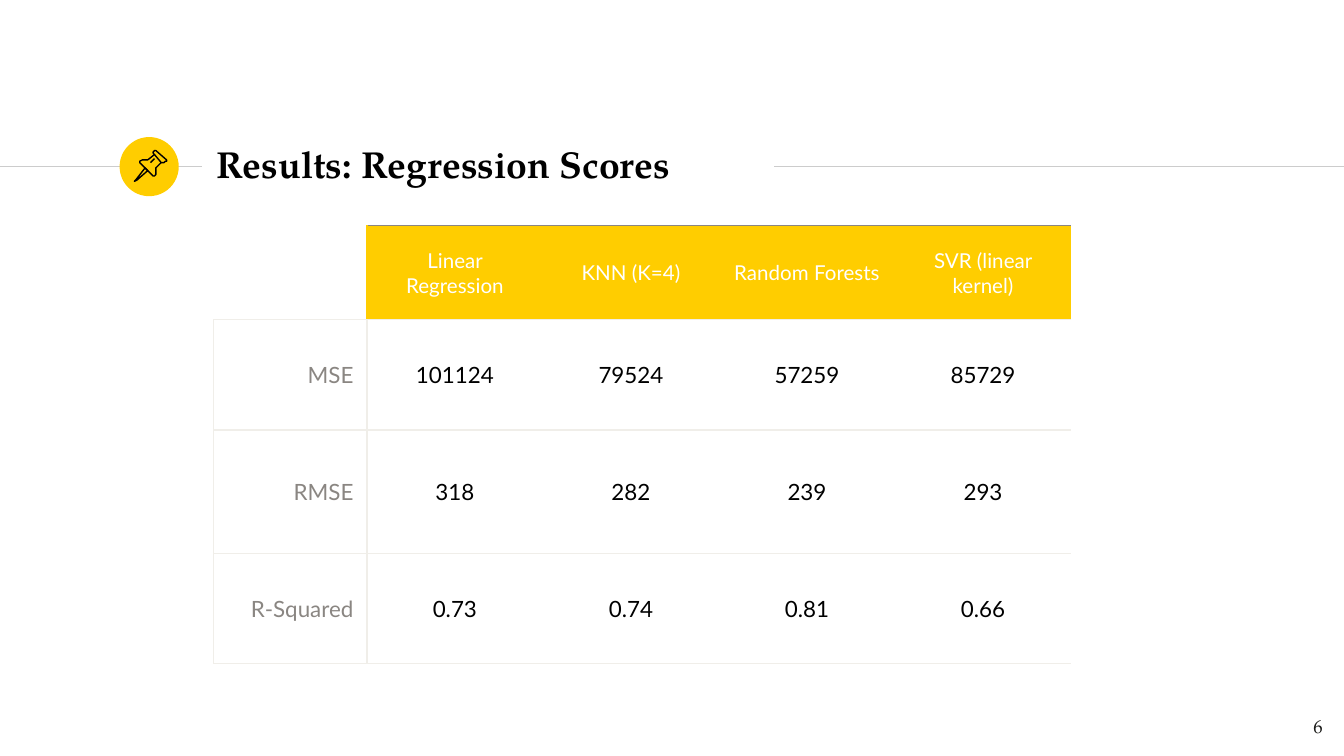
from lxml.etree import SubElement
from pptx import Presentation
from pptx.dml.color import RGBColor
from pptx.enum.shapes import MSO_CONNECTOR, MSO_SHAPE
from pptx.enum.text import MSO_ANCHOR, PP_ALIGN
from pptx.oxml.ns import qn
from pptx.util import Inches, Pt

# Content
TITLE = "Results: Regression Scores"
PAGE_NUMBER = "6"
SCORES = [
    ("", "Linear Regression", "KNN (K=4)", "Random Forests", "SVR (linear kernel)"),
    ("MSE", "101124", "79524", "57259", "85729"),
    ("RMSE", "318", "282", "239", "293"),
    ("R-Squared", "0.73", "0.74", "0.81", "0.66"),
]

# Look and grid
SERIF, SANS = "TeX Gyre Pagella", "Lato"
YELLOW, GRAY, PALE, RULE = "FFCD00", "8A8682", "F0EEE9", "CCCCCC"
BLACK, WHITE, INK = "000000", "FFFFFF", "1D1D1B"
COLUMNS = [1.14] + [1.31] * 4
ROWS = [0.7, 0.82, 0.92, 0.82]
RULE_Y = 1.24

# Pushpin outlines in hundredths of an inch: points, closed
PIN = [
    ([(108, 125), (101, 134), (100, 135), (102, 134), (110, 127)], True),
    ([(115, 115), (120, 121), (122, 121), (123, 120.5), (124, 120), (124, 119),
      (116, 112), (115, 112), (114, 113), (114, 114)], True),
    ([(115, 115), (110, 119), (108, 119), (106, 119), (104, 120), (104, 121),
      (114, 131), (115, 131), (116, 130), (116, 128), (116, 125), (120, 121)], False),
    ([(112, 121), (115, 118)], False),
]


def color(hex_value):
    return RGBColor.from_string(hex_value)


def write(frame, text, size, font, hex_value, align, bold=False):
    frame.text = text
    frame.word_wrap = True
    frame.vertical_anchor = MSO_ANCHOR.MIDDLE
    frame.margin_left = frame.margin_right = Inches(0.1)
    frame.margin_top = frame.margin_bottom = Inches(0.1)
    style(frame.paragraphs[0], size, font, hex_value, align, bold)


def style(paragraph, size, font, hex_value, align, bold=False):
    paragraph.alignment = align
    for run in paragraph.runs:
        run.font.size, run.font.name, run.font.bold = Pt(size), font, bold
        run.font.color.rgb = color(hex_value)


def add_rule(slide, start, end):
    rule = slide.shapes.add_connector(
        MSO_CONNECTOR.STRAIGHT, Inches(start), Inches(RULE_Y), Inches(end), Inches(RULE_Y))
    rule.line.color.rgb = color(RULE)
    rule.line.width = Pt(0.75)
    SubElement(rule._element.spPr, qn("a:effectLst"))


def set_borders(cell, borders):
    properties = cell._tc.get_or_add_tcPr()
    for side in "LRTB":
        line = SubElement(properties, qn(f"a:ln{side}"), w=str(Pt(0.75)))
        if side in borders:
            fill = SubElement(line, qn("a:solidFill"))
            SubElement(fill, qn("a:srgbClr"), val=borders[side])
        else:
            SubElement(line, qn("a:noFill"))


def borders_for(row, column):
    if row == 0:
        if column == 0:
            return {"R": YELLOW, "B": PALE}
        return {"T": GRAY, "B": PALE, **({"L": YELLOW} if column == 1 else {})}
    sides = {0: "LRTB", 1: "LTB"}.get(column, "TB")
    return {side: PALE for side in sides}


# Widescreen slide, 16 by 9
presentation = Presentation()
presentation.slide_width = Inches(10)
presentation.slide_height = presentation.slide_width * 9 // 16
slide = presentation.slides.add_slide(presentation.slide_layouts[5])

# Rules and badge beside the title
add_rule(slide, 0, 1.5)
badge = slide.shapes.add_shape(
    MSO_SHAPE.OVAL, Inches(0.89), Inches(1.02), Inches(0.44), Inches(0.44))
badge.shadow.inherit = False
badge.fill.solid()
badge.fill.fore_color.rgb = color(YELLOW)
badge.line.fill.background()
add_rule(slide, 5.76, 10)

# Title and page number
title = slide.shapes.title
title.left, title.top, title.width, title.height = map(Inches, (1.51, 0.98, 4.24, 0.48))
write(title.text_frame, TITLE, 20, SERIF, BLACK, PP_ALIGN.LEFT, True)
number = slide.shapes.add_textbox(*map(Inches, (9.34, 5.19, 0.6, 0.43)))
write(number.text_frame, PAGE_NUMBER, 10, SERIF, INK, PP_ALIGN.RIGHT)

# Score table
table = slide.shapes.add_table(
    len(ROWS), len(COLUMNS), Inches(1.59), Inches(1.68),
    Inches(sum(COLUMNS)), Inches(sum(ROWS))).table
table.horz_banding = table.first_row = False
for column, width in zip(table.columns, COLUMNS):
    column.width = Inches(width)
for row, height in zip(table.rows, ROWS):
    row.height = Inches(height)
for row, values in enumerate(SCORES):
    for column, value in enumerate(values):
        cell = table.cell(row, column)
        header, label = row == 0, column == 0
        cell.text = value
        cell.vertical_anchor = MSO_ANCHOR.MIDDLE
        cell.margin_left = cell.margin_right = Inches(0.1)
        cell.margin_top = cell.margin_bottom = Inches(0.1)
        style(cell.text_frame.paragraphs[0], 11 if header else 12, SANS,
              WHITE if header else GRAY if label else BLACK,
              PP_ALIGN.RIGHT if label else PP_ALIGN.CENTER)
        set_borders(cell, borders_for(row, column))
        if header and not label:
            cell.fill.solid()
            cell.fill.fore_color.rgb = color(YELLOW)
        else:
            cell.fill.background()

# Pushpin icon
for points, closed in PIN:
    builder = slide.shapes.build_freeform(*points[0], scale=Inches(0.01))
    builder.add_line_segments(points[1:], close=closed)
    outline = builder.convert_to_shape()
    outline.shadow.inherit = False
    outline.fill.background()
    outline.line.color.rgb = color(BLACK)
    outline.line.width = Pt(0.75)

presentation.save("out.pptx")
